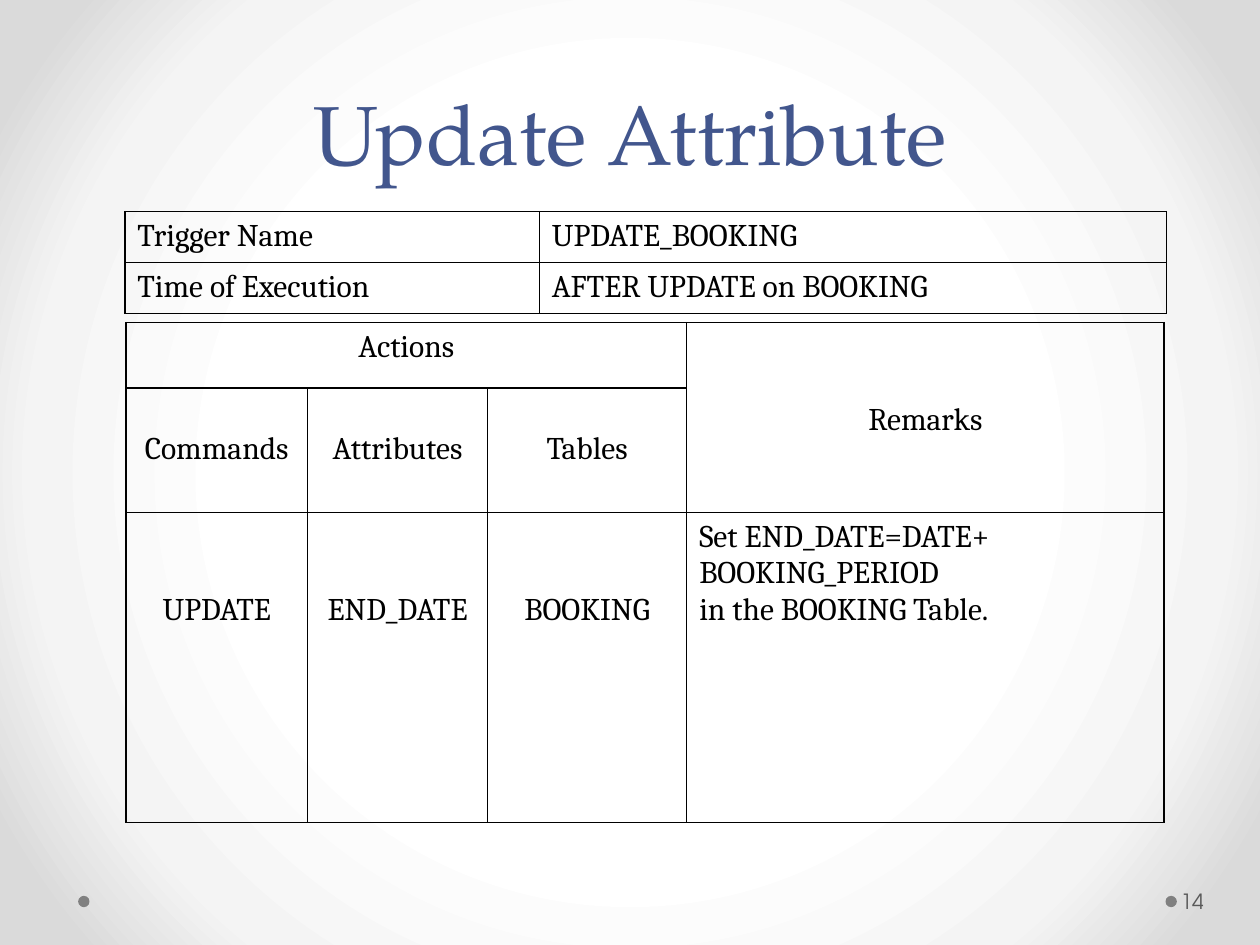
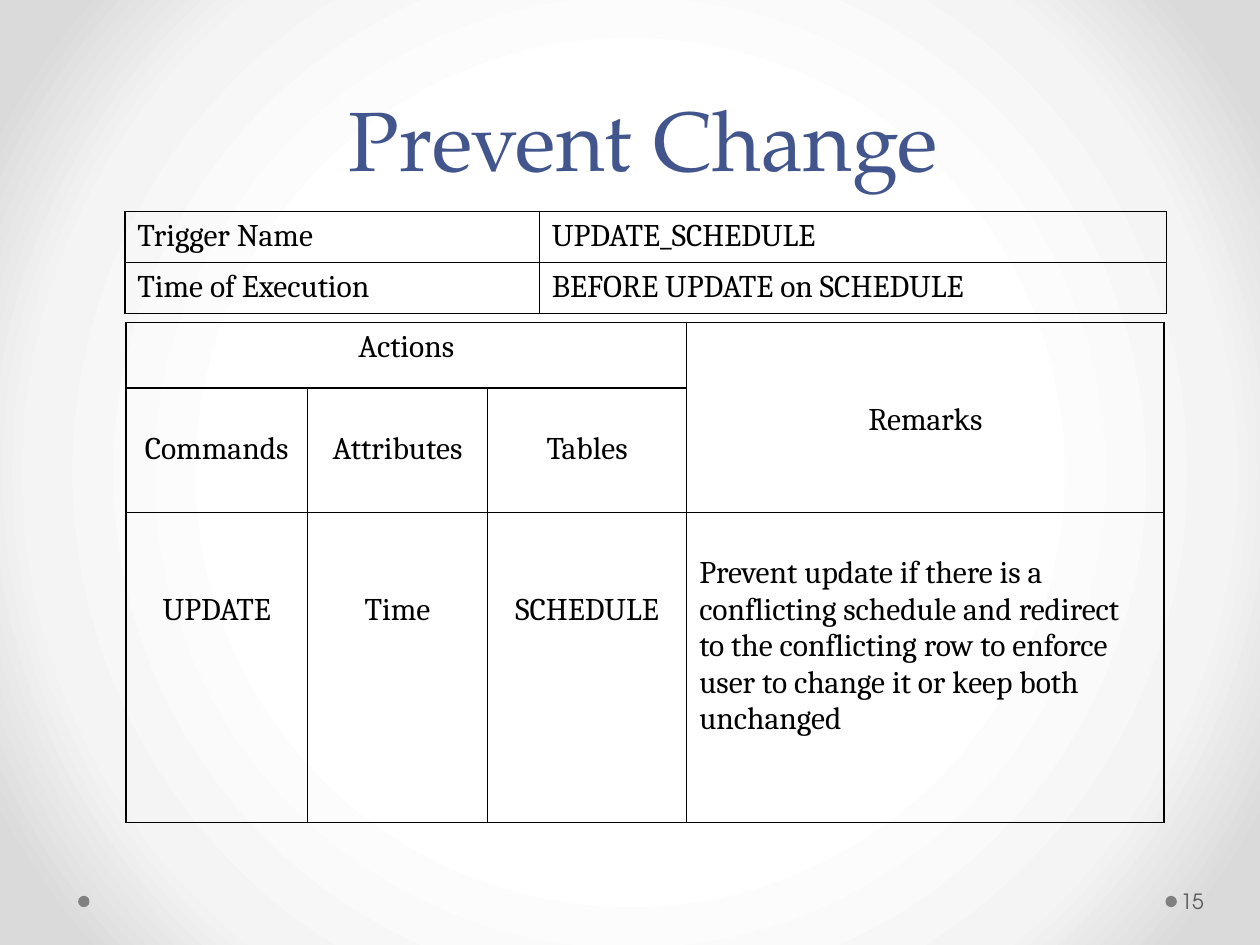
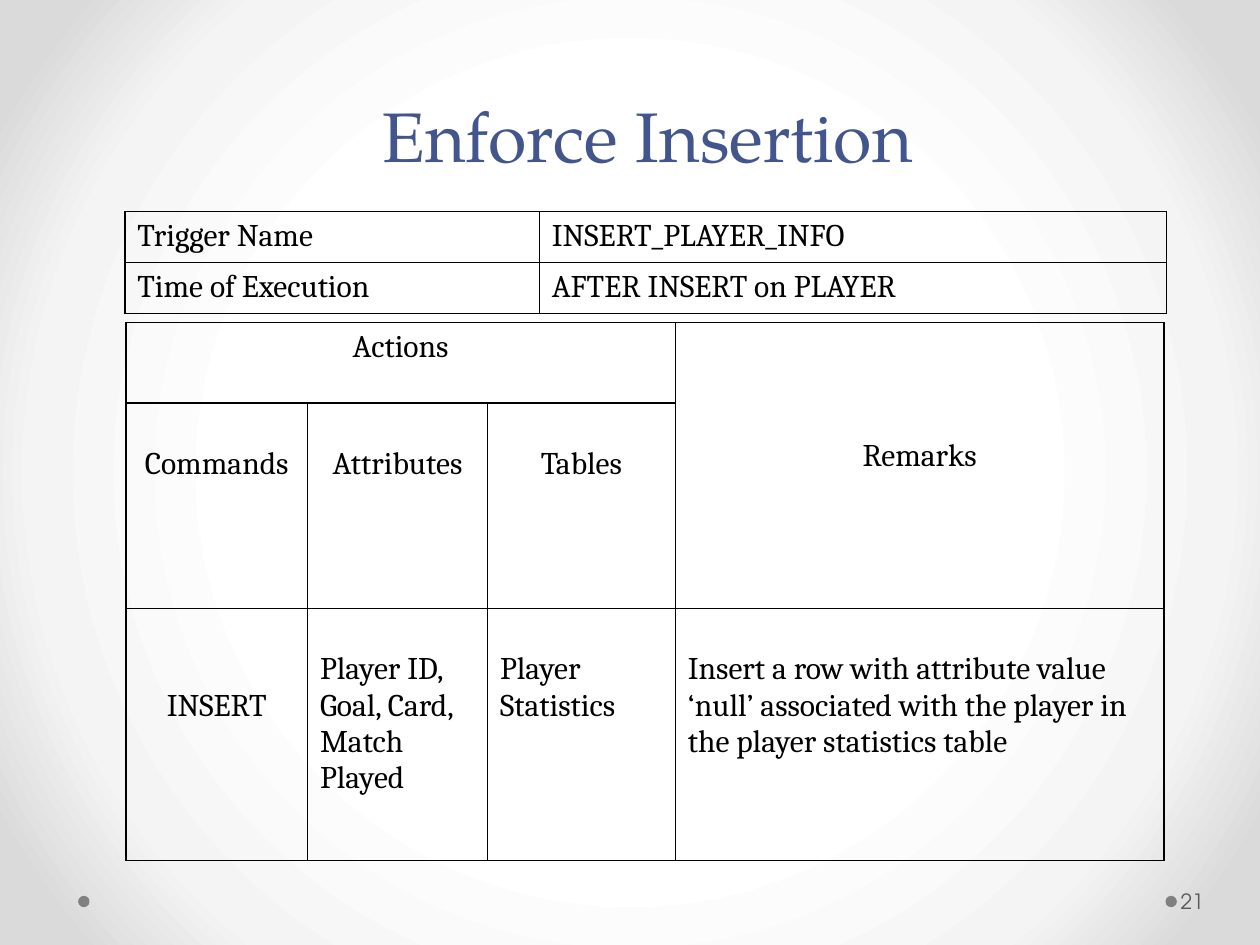
from lxml.etree import SubElement
from pptx import Presentation
from pptx.dml.color import RGBColor as Color
from pptx.enum.shapes import MSO_SHAPE as Shape
from pptx.enum.text import MSO_ANCHOR as Anchor, PP_ALIGN as Align
from pptx.oxml.ns import qn
from pptx.util import Inches, Pt

WIDTH, HEIGHT = 10, 7.5
COLORS = {"title": "42568D", "ink": "000000", "number": "595959", "dot": "808080"}
FONTS = {"title": "TeX Gyre Pagella", "table": "Cambria", "number": "TeX Gyre Adventor"}
GRADIENT = [(50, "FFFFFF"), (76, "F4F4F4"), (92, "DADADA")]
LINE, INSET = 0.29, 0.05
DOT, DOT_TOP, DOT_LEFTS = 0.09, 7.11, (9.25, 0.62)
NUMBER_BOX = (9.34, 6.95, 0.61, 0.4)
SUMMARY_BOX = (0.99, 1.68, 8.27, 0.81)
ACTION_LEFT, ACTION_TOP, ACTION_WIDTH = 1, 2.56, 8.24
SUMMARY_LABELS = ["Trigger Name", "Time of Execution"]
ACTION_LABELS = ["Commands", "Attributes", "Tables"]
LEFT, CENTER = Align.LEFT, Align.CENTER
STANDARD = {"columns": [1.44, 1.43, 1.58, 3.79], "rows": [0.52, 0.99, 2.46], "remarks_skip": 2}
TALL = {"columns": [1.44, 1.43, 1.49, 3.88], "rows": [0.64, 1.63, 2], "remarks_skip": 3}

SLIDES = [
    {
        "title": "Update Attribute", "title_box": (0.5, -0.25, 9, 1.75), "size": 48,
        "number": "14", "grid": STANDARD,
        "summary": ["UPDATE_BOOKING", "AFTER UPDATE on BOOKING"],
        "action": [
            (["UPDATE"], 2, CENTER),
            (["END_DATE"], 2, CENTER),
            (["BOOKING"], 2, CENTER),
            (["Set END_DATE=DATE+", "BOOKING_PERIOD\vin the BOOKING Table."], 0, LEFT),
        ],
    },
    {
        "title": "Prevent Change", "title_box": (0.97, 0.09, 8.27, 1.45), "size": 48,
        "number": "15", "grid": STANDARD,
        "summary": ["UPDATE_SCHEDULE", "BEFORE UPDATE on SCHEDULE"],
        "action": [
            (["UPDATE"], 2, CENTER),
            (["Time"], 2, CENTER),
            (["SCHEDULE"], 2, CENTER),
            (["Prevent update if there is a conflicting schedule and redirect\v"
              "to the conflicting row to enforce user to change it or keep both unchanged"], 1, LEFT),
        ],
    },
    {
        "title": "Enforce Insertion", "title_box": (1.12, 0.43, 8.04, 1.02), "size": 40,
        "number": "21", "grid": TALL,
        "summary": ["INSERT_PLAYER_INFO", "AFTER INSERT on PLAYER"],
        "action": [
            (["INSERT"], 2, CENTER),
            (["Player ID, Goal, Card, Match Played"], 1, LEFT),
            (["Player", "Statistics"], 1, LEFT),
            (["Insert a row with attribute value",
              "‘null’ associated with the player in the player statistics table"], 1, LEFT),
        ],
    },
]


def inches(values):
    return [Inches(value) for value in values]


def write(frame, lines, *, font, size, color, align=LEFT, spacing=None):
    frame.word_wrap = True
    for index, line in enumerate(lines):
        para = frame.paragraphs[0] if index == 0 else frame.add_paragraph()
        para.text = line
        para.alignment = align
        if spacing:
            para.line_spacing = Pt(spacing)
        for span in para.runs:
            span.font.name = font
            span.font.size = Pt(size)
            span.font.color.rgb = Color.from_string(COLORS[color])


def fill_cell(cell, lines, skip=0, align=LEFT):
    cell.margin_top = Inches(INSET + skip * LINE)
    write(cell.text_frame, lines, font=FONTS["table"], size=18, color="ink", align=align)


def add_grid(page, box, columns, rows):
    table = page.shapes.add_table(len(rows), len(columns), *inches(box)).table
    table.first_row = table.horz_banding = False
    for column, width in zip(table.columns, columns):
        column.width = Inches(width)
    for row, height in zip(table.rows, rows):
        row.height = Inches(height)
    for cell in table.iter_cells():
        properties = cell._tc.get_or_add_tcPr()
        for side in ("lnL", "lnR", "lnT", "lnB"):
            border = SubElement(properties, qn(f"a:{side}"), w=str(Pt(1)))
            paint = SubElement(border, qn("a:solidFill"))
            SubElement(paint, qn("a:srgbClr"), val=COLORS["ink"])
        cell.fill.background()
    return table


def paint_background(master):
    master.background.fill.gradient()
    gradient = next(master.element.iter(qn("a:gradFill")))
    for child in list(gradient):
        gradient.remove(child)
    stops = SubElement(gradient, qn("a:gsLst"))
    for position, color in GRADIENT:
        stop = SubElement(stops, qn("a:gs"), pos=str(position * 1000))
        SubElement(stop, qn("a:srgbClr"), val=color)
    circle = SubElement(gradient, qn("a:path"), path="circle")
    SubElement(circle, qn("a:fillToRect"), l="50000", t="50000", r="50000", b="50000")


def add_frame(page, content):
    for left in DOT_LEFTS:
        dot = page.shapes.add_shape(Shape.OVAL, *inches((left, DOT_TOP, DOT, DOT)))
        dot.shadow.inherit = False
        dot.fill.solid()
        dot.fill.fore_color.rgb = Color.from_string(COLORS["dot"])
        dot.line.fill.background()
    title = page.shapes.add_textbox(*inches(content["title_box"])).text_frame
    title.vertical_anchor = Anchor.BOTTOM
    write(title, [content["title"]], font=FONTS["title"], size=content["size"],
          color="title", align=CENTER, spacing=58)
    number = page.shapes.add_textbox(*inches(NUMBER_BOX)).text_frame
    number.vertical_anchor = Anchor.MIDDLE
    number.margin_left, number.margin_right = inches((0.03, 0.05))
    write(number, [content["number"]], font=FONTS["number"], size=12, color="number")


def add_summary(page, values):
    height = SUMMARY_BOX[3] / len(values)
    table = add_grid(page, SUMMARY_BOX, [3.29, 4.98], [height] * len(values))
    for row, pair in enumerate(zip(SUMMARY_LABELS, values)):
        for column, text in enumerate(pair):
            fill_cell(table.cell(row, column), [text])


def add_actions(page, cells, grid):
    box = (ACTION_LEFT, ACTION_TOP, ACTION_WIDTH, sum(grid["rows"]))
    table = add_grid(page, box, grid["columns"], grid["rows"])
    table.cell(0, 0).merge(table.cell(0, 2))
    table.cell(0, 3).merge(table.cell(1, 3))
    fill_cell(table.cell(0, 0), ["Actions"], align=CENTER)
    fill_cell(table.cell(0, 3), ["Remarks"], grid["remarks_skip"], CENTER)
    for column, label in enumerate(ACTION_LABELS):
        fill_cell(table.cell(1, column), [label], 1, CENTER)
    for column, cell in enumerate(cells):
        fill_cell(table.cell(2, column), *cell)


deck = Presentation()
deck.slide_width, deck.slide_height = inches((WIDTH, HEIGHT))
paint_background(deck.slide_master)
for content in SLIDES:
    page = deck.slides.add_slide(deck.slide_layouts[6])
    add_frame(page, content)
    add_summary(page, content["summary"])
    add_actions(page, content["action"], content["grid"])
deck.save("out.pptx")
